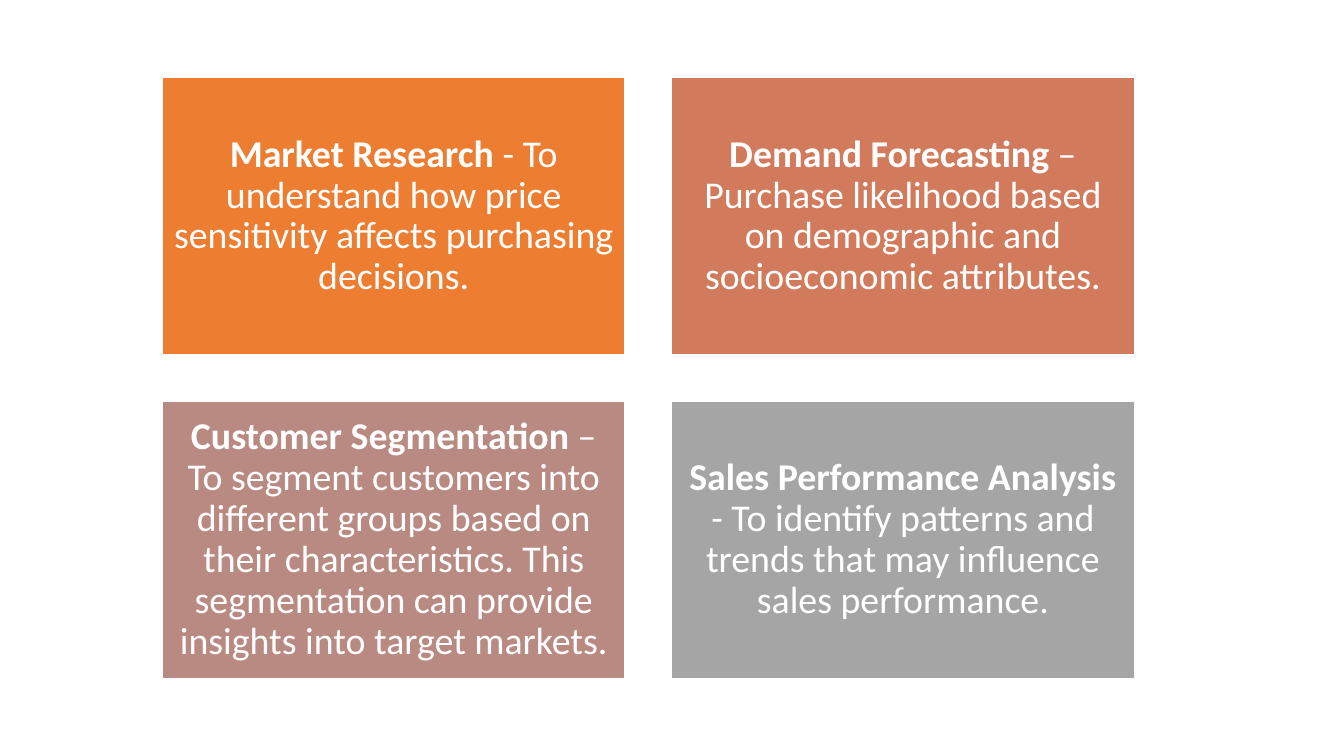
from pptx import Presentation
from pptx.dml.color import RGBColor
from pptx.enum.shapes import MSO_SHAPE
from pptx.enum.text import MSO_ANCHOR, PP_ALIGN
from pptx.util import Inches, Pt

RECT = MSO_SHAPE.RECTANGLE
MIDDLE = MSO_ANCHOR.MIDDLE
CENTER = PP_ALIGN.CENTER
COLORS = {"orange": "ED7D31", "coral": "D17B5C", "rose": "B98A82",
          "gray": "A5A5A5", "white": "FFFFFF"}
COLUMNS = 2
CARD_W, CARD_H = 4.59, 2.75
GAP = 0.46
INSET = 0.11
USES = [
    ("orange", "Market Research",
     " - To understand how price sensitivity affects purchasing decisions."),
    ("coral", "Demand Forecasting",
     " – Purchase likelihood based on demographic and socioeconomic attributes."),
    ("rose", "Customer Segmentation",
     " – To segment customers into different groups based on their "
     "characteristics. This segmentation can provide insights into target markets."),
    ("gray", "Sales Performance Analysis",
     " - To identify patterns and trends that may influence sales performance."),
]


def rgb(name):
    """Return the palette colour with the given name."""
    return RGBColor.from_string(COLORS[name])


def add_run(p, text, size=27, bold=False, color="white", font="Calibri"):
    """Append a formatted run to a paragraph."""
    r = p.add_run()
    r.text = text
    r.font.name = font
    r.font.size = Pt(size)
    r.font.bold = bold
    r.font.color.rgb = rgb(color)


def add_card(s, left, top, width, height, fill, heading, detail):
    """Draw one filled card with a bold heading and its explanation."""
    sp = s.shapes.add_shape(RECT, Inches(left), Inches(top),
                            Inches(width), Inches(height))
    sp.shadow.inherit = False
    sp.fill.solid()
    sp.fill.fore_color.rgb = rgb(fill)
    sp.line.color.rgb = rgb("white")
    sp.line.width = Pt(1)
    tf = sp.text_frame
    tf.word_wrap = True
    tf.vertical_anchor = MIDDLE
    tf.margin_left = tf.margin_right = Inches(INSET)
    tf.margin_top = tf.margin_bottom = Inches(INSET)
    p = tf.paragraphs[0]
    p.alignment = CENTER
    p.line_spacing = 0.9
    add_run(p, heading, bold=True)
    add_run(p, detail)


def add_card_grid(s, left, top, uses):
    """Lay out the cards row by row from the given corner."""
    for i, use in enumerate(uses):
        row, col = divmod(i, COLUMNS)
        add_card(s, left + col * (CARD_W + GAP), top + row * (CARD_H + GAP),
                 CARD_W, CARD_H, *use)


def main():
    """Build and save the slide."""
    prs = Presentation()
    prs.slide_width, prs.slide_height = Inches(13.33), Inches(7.5)
    s = prs.slides.add_slide(prs.slide_layouts[6])
    add_card_grid(s, 1.61, 0.77, USES)
    prs.save("out.pptx")


if __name__ == "__main__":
    main()
